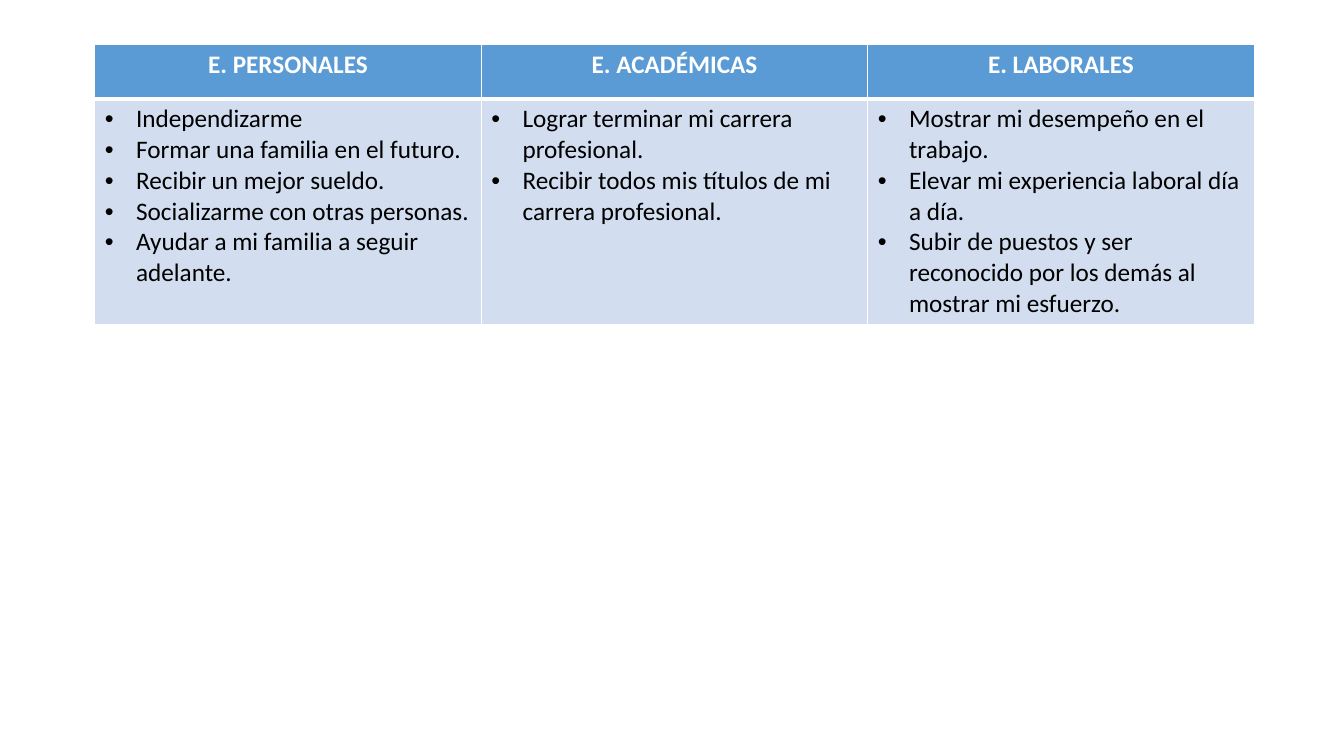
from dataclasses import dataclass

from lxml.etree import SubElement
from pptx import Presentation
from pptx.dml.color import RGBColor
from pptx.enum.text import PP_ALIGN
from pptx.oxml import parse_xml
from pptx.oxml.ns import nsdecls, qn
from pptx.util import Inches, Pt


@dataclass(frozen=True)
class Theme:
    font: str = "Calibri"
    size: int = 18
    header_fill: str = "5B9BD5"
    header_text: str = "FFFFFF"
    body_fill: str = "D2DEEF"
    body_text: str = "000000"
    border: str = "FFFFFF"
    thin: int = 1
    thick: int = 3


THEME = Theme()

EXPECTATIONS = {
    "E. PERSONALES": [
        "Independizarme",
        "Formar una familia en el futuro.",
        "Recibir un mejor sueldo.",
        "Socializarme con otras personas.",
        "Ayudar a mi familia a seguir adelante.",
    ],
    "E. ACADÉMICAS": [
        "Lograr terminar mi carrera profesional.",
        "Recibir todos mis títulos de mi carrera profesional.",
    ],
    "E. LABORALES": [
        "Mostrar mi desempeño en el trabajo.",
        "Elevar mi experiencia laboral día a día.",
        "Subir de puestos y ser reconocido por los demás al mostrar mi esfuerzo.",
    ],
}


def add_bullet(paragraph):
    properties = paragraph._p.get_or_add_pPr()
    properties.set("marL", str(Inches(0.31)))
    properties.set("indent", str(-Inches(0.31)))
    SubElement(properties, qn("a:buFont")).set("typeface", "Arial")
    SubElement(properties, qn("a:buChar")).set("char", "•")


def write_text(paragraph, text, color, bold=False, align=PP_ALIGN.LEFT, bullet=False):
    if bullet:
        add_bullet(paragraph)
    paragraph.alignment = align
    run = paragraph.add_run()
    run.text = text
    run.font.name = THEME.font
    run.font.size = Pt(THEME.size)
    run.font.bold = bold
    run.font.color.rgb = RGBColor.from_string(color)


def set_borders(cell, top, bottom):
    """Draw the cell's four borders; side lines are always thin."""
    properties = cell._tc.get_or_add_tcPr()
    widths = {"lnL": THEME.thin, "lnR": THEME.thin, "lnT": top, "lnB": bottom}
    for position, (side, width) in enumerate(widths.items()):
        line = parse_xml(
            f'<a:{side} {nsdecls("a")} w="{Pt(width)}"><a:solidFill>'
            f'<a:srgbClr val="{THEME.border}"/></a:solidFill></a:{side}>'
        )
        properties.insert(position, line)


def style_cell(cell, fill, top, bottom):
    cell.fill.solid()
    cell.fill.fore_color.rgb = RGBColor.from_string(fill)
    set_borders(cell, top, bottom)


def fill_header(cell, heading):
    style_cell(cell, THEME.header_fill, THEME.thin, THEME.thick)
    write_text(cell.text_frame.paragraphs[0], heading, THEME.header_text,
               bold=True, align=PP_ALIGN.CENTER)


def fill_body(cell, items):
    style_cell(cell, THEME.body_fill, THEME.thick, THEME.thin)
    frame = cell.text_frame
    for index, item in enumerate(items):
        paragraph = frame.add_paragraph() if index else frame.paragraphs[0]
        write_text(paragraph, item, THEME.body_text, bullet=True)


def add_expectations_table(slide):
    table = slide.shapes.add_table(
        2, len(EXPECTATIONS), Inches(0.94), Inches(0.44), Inches(11.5), Inches(2.76)
    ).table
    table.horz_banding = False
    table.rows[0].height = Inches(0.54)
    table.rows[1].height = Inches(2.22)
    for column, (heading, items) in enumerate(EXPECTATIONS.items()):
        fill_header(table.cell(0, column), heading)
        fill_body(table.cell(1, column), items)


def main():
    presentation = Presentation()
    presentation.slide_width = Inches(13.33)
    presentation.slide_height = Inches(7.5)
    slide = presentation.slides.add_slide(presentation.slide_layouts[6])
    add_expectations_table(slide)
    presentation.save("out.pptx")


if __name__ == "__main__":
    main()
